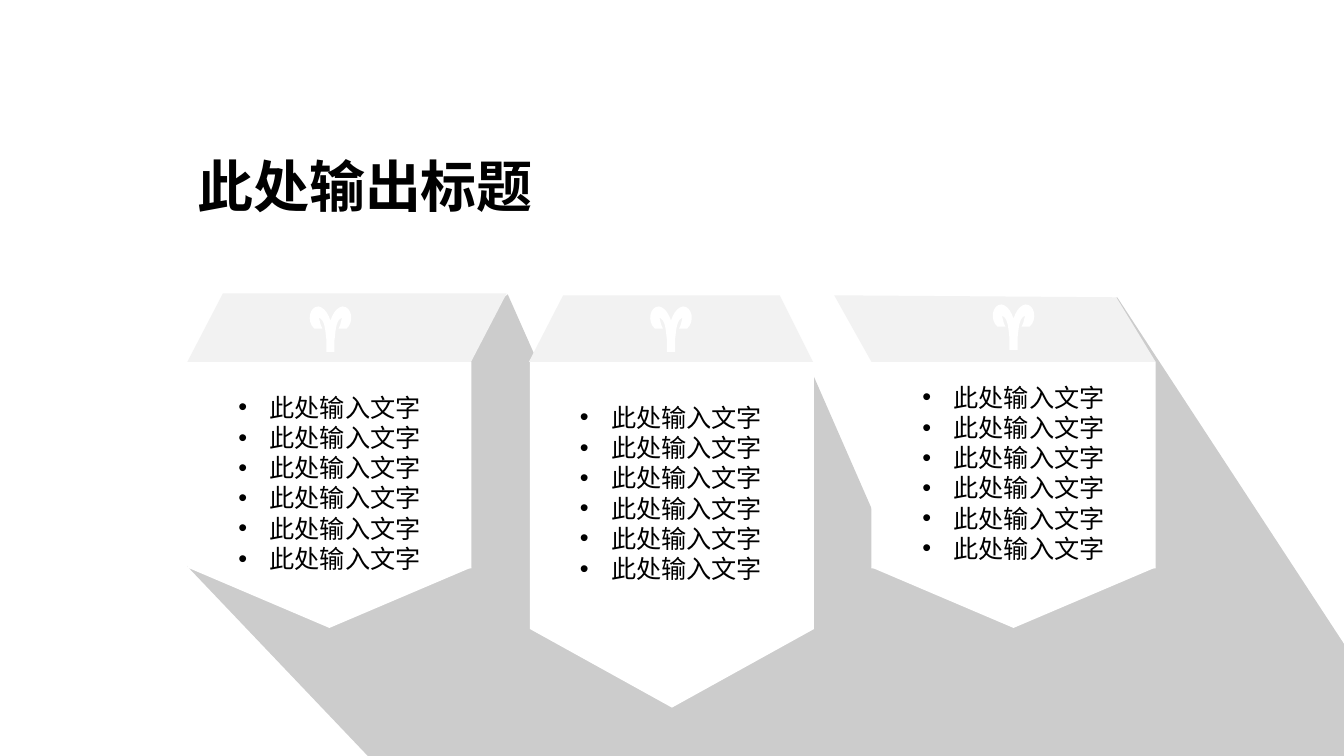
from dataclasses import dataclass

from lxml import etree
from pptx import Presentation
from pptx import util as u
from pptx.dml.color import RGBColor
from pptx.enum import shapes, text
from pptx.oxml.ns import qn

Point = tuple[float, float]


@dataclass(frozen=True)
class Theme:
    paper: str = "FFFFFF"
    roof: str = "F2F2F2"
    ink: str = "000000"
    shadow_alpha: int = 20
    font: str = "Noto Sans CJK SC"
    title_size: int = 40
    body_size: int = 18


@dataclass(frozen=True)
class Card:
    left: float
    body_height: float
    tip_top: float
    tip_height: float
    text_left: float
    text_top: float
    icon_axis: float
    icon_top: float


THEME = Theme()
CARD_TOP, CARD_WIDTH, ROOF_TOP = 3.59, 2.82, 2.93
TEXT_HEIGHT = 1.9
CARDS = [
    Card(1.86, 2.05, 5.63, 0.6, 1.86, 3.84, 3.28, 3.04),
    Card(5.26, 2.65, 6.24, 0.78, 5.25, 3.94, 6.66, 3.04),
    Card(8.65, 2.05, 5.63, 0.6, 8.65, 3.74, 10.06, 3.02),
]
BULLETS = ["此处输入文字"] * 6

LONG_SHADOW = [
    (1.86, 5.62), (3.67, 7.52), (13.44, 7.51), (13.42, 6.51), (11.09, 2.95),
    (8.8, 3.9), (9.25, 4.97), (8.75, 5.27), (7.73, 2.94), (5.42, 5.53),
    (5.56, 4.71), (5.7, 4.41), (5.04, 2.92),
]
RIGHT_ROOF = [(8.65, CARD_TOP), (8.28, 2.93), (11.08, 2.95), (11.47, CARD_TOP)]
MIDDLE_ROOF = [(5.25, CARD_TOP), (8.07, CARD_TOP), (7.74, ROOF_TOP), (5.59, ROOF_TOP)]

# Right half of the horned icon, relative to its axis and top:
# the start, then two control points and an end for each curve
HORN_HALF = [
    (0, 0.14),
    (0.02, 0.08), (0.05, 0.03), (0.09, 0.01),
    (0.1, 0), (0.11, 0), (0.12, 0),
    (0.21, 0), (0.24, 0.15), (0.16, 0.22),
    (0.08, 0.22), (0.08, 0.22), (0.08, 0.22),
    (0.08, 0.22), (0.1, 0.18), (0.1, 0.17),
    (0.1, 0.16), (0.12, 0.11), (0.11, 0.11),
    (0.11, 0.11), (0.1, 0.11), (0.1, 0.12),
    (0.05, 0.15), (0.05, 0.27), (0.04, 0.33),
    (0.04, 0.38), (0.04, 0.45), (0.04, 0.45),
]


def paint(shape, color: str, alpha: int | None = None) -> None:
    shape.shadow.inherit = False
    shape.line.fill.background()
    shape.fill.solid()
    shape.fill.fore_color.rgb = RGBColor.from_string(color)
    if alpha is not None:
        srgb = shape.fill._xPr.find(".//" + qn("a:srgbClr"))
        etree.SubElement(srgb, qn("a:alpha"), val=str(alpha * 1000))


def add_block(parent, kind, left: float, top: float, width: float, height: float, color: str):
    block = parent.shapes.add_shape(kind, *map(u.Inches, (left, top, width, height)))
    paint(block, color)
    return block


def add_outline(slide, points: list[Point], color: str, alpha: int | None = None):
    start, *rest = [(u.Inches(x), u.Inches(y)) for x, y in points]
    builder = slide.shapes.build_freeform(*start)
    builder.add_line_segments(rest, close=True)
    outline = builder.convert_to_shape()
    paint(outline, color, alpha)
    return outline


def add_horns(slide, axis: float, top: float) -> None:
    mirrored = [(-x, y) for x, y in reversed(HORN_HALF)]
    contour = HORN_HALF + mirrored[:1] * 2 + mirrored
    horns = add_outline(slide, [(axis + x, top + y) for x, y in contour], THEME.paper)
    # Every three points after the start make one Bezier curve
    segments = list(horns._element.iter(qn("a:lnTo")))
    for first, second, end in zip(segments[::3], segments[1::3], segments[2::3]):
        curve = etree.Element(qn("a:cubicBezTo"))
        first.addprevious(curve)
        for segment in (first, second, end):
            curve.append(segment[0])
            segment.getparent().remove(segment)


def write(frame, lines: list[str], *, size: int, bold: bool = False, bulleted: bool = False,
          align=text.PP_ALIGN.LEFT, anchor=text.MSO_ANCHOR.TOP) -> None:
    frame.word_wrap = True
    frame.auto_size = text.MSO_AUTO_SIZE.SHAPE_TO_FIT_TEXT
    frame.vertical_anchor = anchor
    for index, line in enumerate(lines):
        paragraph = frame.paragraphs[0] if index == 0 else frame.add_paragraph()
        paragraph.alignment = align
        if bulleted:
            props = paragraph._p.get_or_add_pPr()
            indent = u.Inches(0.31)
            props.set("marL", str(indent))
            props.set("indent", str(-indent))
            bullet_color = etree.SubElement(props, qn("a:buClr"))
            etree.SubElement(bullet_color, qn("a:srgbClr"), val=THEME.ink)
            etree.SubElement(props, qn("a:buFont"), typeface="Arial")
            etree.SubElement(props, qn("a:buChar"), char="•")
        run = paragraph.add_run()
        run.text = line
        run.font.size = u.Pt(size)
        run.font.bold = bold
        run.font.name = THEME.font
        run.font.color.rgb = RGBColor.from_string(THEME.ink)
        etree.SubElement(run._r.get_or_add_rPr(), qn("a:ea"), typeface=THEME.font)


def main() -> None:
    deck = Presentation()
    deck.slide_width, deck.slide_height = u.Inches(13.34), u.Inches(7.5)
    slide = deck.slides.add_slide(deck.slide_layouts[6])
    kinds = shapes.MSO_SHAPE

    # Long shadow
    add_outline(slide, LONG_SHADOW, THEME.ink, THEME.shadow_alpha)

    # Title band
    add_block(slide, kinds.RECTANGLE, 9.92, 1.45, 1.55, 0.77, THEME.paper)
    title = add_block(slide, kinds.RECTANGLE, 1.86, 1.45, 7.89, 0.77, THEME.paper)
    write(title.text_frame, ["此处输出标题"], size=THEME.title_size, bold=True,
          anchor=text.MSO_ANCHOR.MIDDLE)

    # Card bodies grouped with their pointed tips
    for card in CARDS:
        panel = slide.shapes.add_group_shape()
        add_block(panel, kinds.RECTANGLE, card.left, CARD_TOP, CARD_WIDTH,
                  card.body_height, THEME.paper)
        add_block(panel, kinds.FLOWCHART_MERGE, card.left, card.tip_top, CARD_WIDTH,
                  card.tip_height, THEME.paper)

    # Roofs
    left_roof = add_block(slide, kinds.PARALLELOGRAM, 1.86, 2.91, 3.17, 0.68, THEME.roof)
    left_roof.adjustments[0] = 0.52
    add_outline(slide, RIGHT_ROOF, THEME.roof)
    add_outline(slide, MIDDLE_ROOF, THEME.roof)

    # Bullet lists
    for card in CARDS:
        bullets = slide.shapes.add_textbox(
            *map(u.Inches, (card.text_left, card.text_top, CARD_WIDTH, TEXT_HEIGHT)))
        write(bullets.text_frame, BULLETS, size=THEME.body_size, bulleted=True,
              align=text.PP_ALIGN.CENTER)

    # Horned icons
    for card in CARDS:
        add_horns(slide, card.icon_axis, card.icon_top)

    deck.save("out.pptx")


if __name__ == "__main__":
    main()
